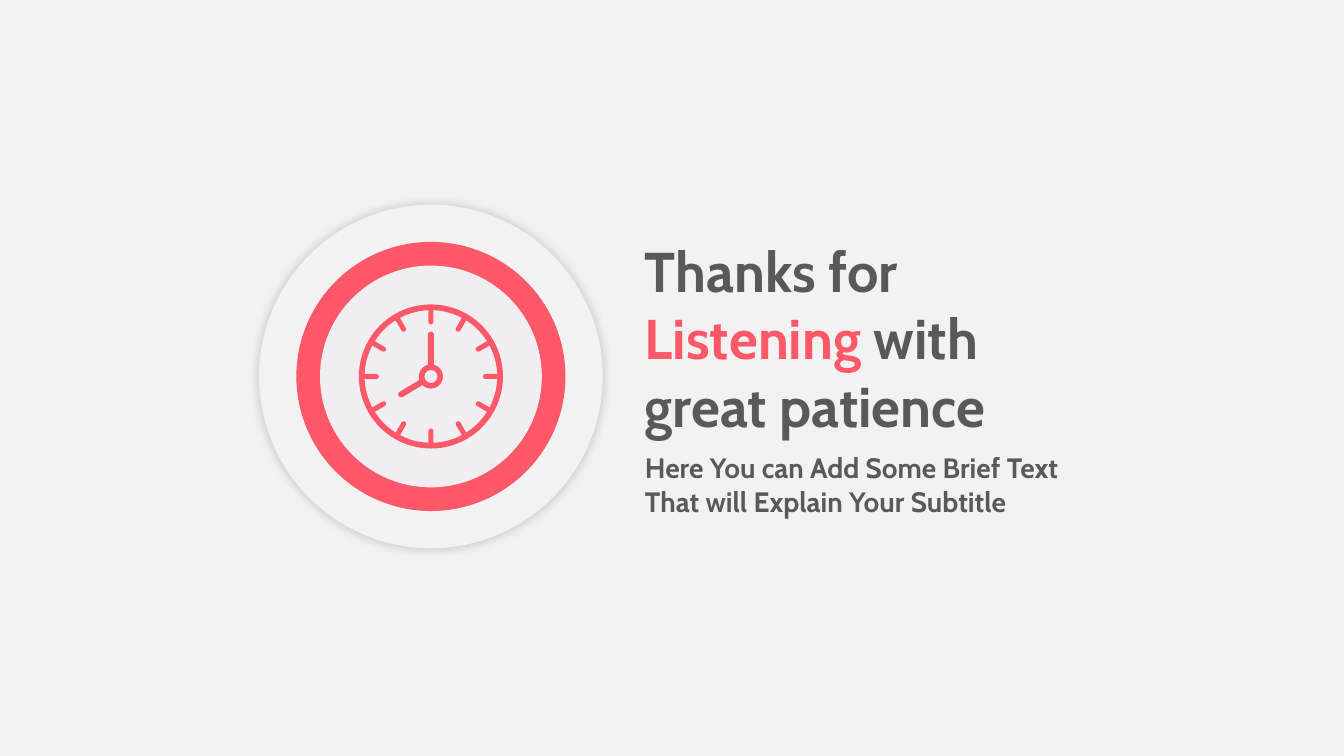
import math

from lxml import etree
from pptx import Presentation, util as u
from pptx.dml.color import RGBColor
from pptx.enum import shapes, text
from pptx.oxml import ns

WIDTH, HEIGHT = u.Inches(13.33), u.Inches(7.5)
COLUMNS, ROWS = 160, 90
CLOCK_COLUMN, CLOCK_ROW = 51.3, 44.82

LIGHT_GREY = RGBColor(0xF2, 0xF2, 0xF2)
PALE = RGBColor(0xF0, 0xEE, 0xF0)
CORAL = RGBColor(0xFF, 0x59, 0x69)
DARK_GREY = RGBColor(0x59, 0x59, 0x59)


def columns(count):
    return round(WIDTH * count / COLUMNS)


def rows(count):
    return round(HEIGHT * count / ROWS)


def add_centred(slide, kind, column, row, width, height, colour, adjustments=()):
    """Add a plain filled shape whose centre is at the given grid point."""
    shape = slide.shapes.add_shape(
        kind, columns(column - width / 2), rows(row - height / 2),
        columns(width), rows(height))
    shape.shadow.inherit = False
    shape.fill.solid()
    shape.fill.fore_color.rgb = colour
    shape.line.fill.background()
    for index, value in enumerate(adjustments):
        shape.adjustments[index] = value
    return shape


def add_ring(slide, kind, diameter, colour, *adjustments):
    """Add a round shape about the centre of the clock."""
    return add_centred(slide, kind, CLOCK_COLUMN, CLOCK_ROW, diameter, diameter,
                       colour, adjustments)


def add_clock_bar(slide, kind, angle, radius, width, length, *adjustments):
    """Add a bar pointing away from the clock's centre, clockwise from twelve."""
    turn = math.radians(angle)
    bar = add_centred(slide, kind, CLOCK_COLUMN + radius * math.sin(turn),
                      CLOCK_ROW - radius * math.cos(turn), width, length,
                      CORAL, adjustments)
    bar.rotation = angle


def add_glow_shadow(shape, blur, opacity):
    effects = shape.element.spPr.find(ns.qn("a:effectLst"))
    shadow = etree.SubElement(effects, ns.qn("a:outerShdw"), blurRad=str(u.Pt(blur)),
                              dist="0", dir="0", algn="ctr", rotWithShape="0")
    colour = etree.SubElement(shadow, ns.qn("a:srgbClr"), val="000000")
    etree.SubElement(colour, ns.qn("a:alpha"), val=str(opacity * 1000))


def add_text(slide, row, height, size, runs):
    box = slide.shapes.add_textbox(columns(75.6), rows(row), columns(57.84), rows(height))
    frame = box.text_frame
    frame.word_wrap = True
    frame.auto_size = text.MSO_AUTO_SIZE.SHAPE_TO_FIT_TEXT
    font_format = {"name": "Cabin", "size": u.Pt(size), "bold": True}
    for wording, colour in runs:
        run = frame.paragraphs[0].add_run()
        run.text = wording
        for name, value in font_format.items():
            setattr(run.font, name, value)
        run.font.color.rgb = colour


def add_clock(slide):
    kinds = shapes.MSO_SHAPE
    plate = add_ring(slide, kinds.OVAL, 40.92, LIGHT_GREY)
    add_glow_shadow(plate, blur=8, opacity=20)
    add_ring(slide, kinds.OVAL, 32.04, CORAL)
    add_ring(slide, kinds.OVAL, 26.4, PALE)
    for hour in range(12):
        add_clock_bar(slide, kinds.ROUNDED_RECTANGLE, hour * 30, 7.2, 0.6, 2, 0.5)
    add_ring(slide, kinds.DONUT, 17.16, CORAL, 0.04)
    add_ring(slide, kinds.DONUT, 2.88, CORAL, 0.23)
    for angle, radius, length in ((239, 2.75, 3.48), (0, 3.3, 4.08)):
        add_clock_bar(slide, kinds.ROUND_2_SAME_RECTANGLE, angle, radius, 0.72, length, 0.5, 0)


def main():
    presentation = Presentation()
    presentation.slide_width, presentation.slide_height = WIDTH, HEIGHT
    slide = presentation.slides.add_slide(presentation.slide_layouts[6])
    slide.background.fill.solid()
    slide.background.fill.fore_color.rgb = LIGHT_GREY
    add_text(slide, 27.6, 25.44, 40, [
        ("Thanks for ", DARK_GREY),
        ("Listening ", CORAL),
        ("with great patience", DARK_GREY)])
    add_text(slide, 53.04, 9.24, 20, [
        ("Here You can Add Some Brief Text That will Explain Your Subtitle", DARK_GREY)])
    add_clock(slide)
    presentation.save("out.pptx")


if __name__ == "__main__":
    main()
